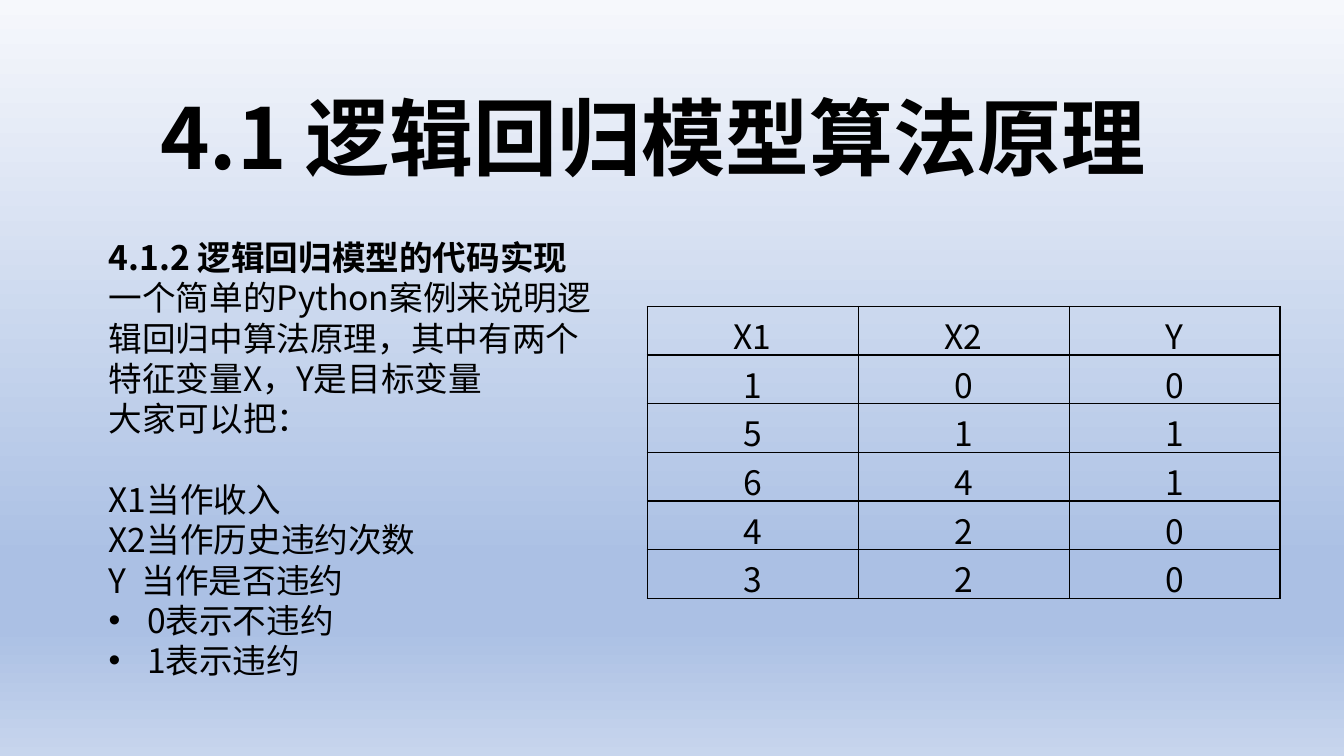
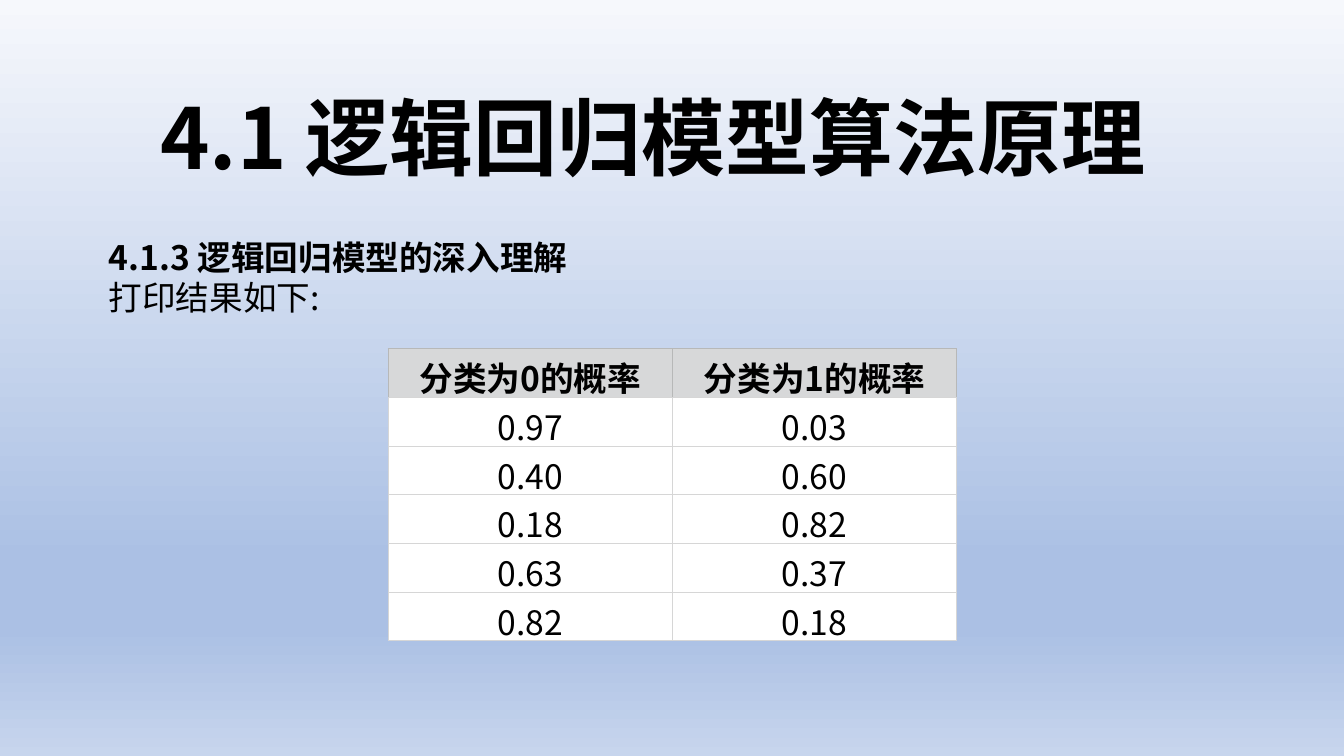
from dataclasses import dataclass
from itertools import product

from lxml.etree import SubElement as sub
from pptx import Presentation
from pptx.dml.color import RGBColor as RGB
from pptx.enum.text import MSO_ANCHOR as ANCHOR, MSO_AUTO_SIZE as FIT, PP_ALIGN as ALIGN
from pptx.oxml.ns import qn
from pptx.util import Emu, Inches, Pt


@dataclass(frozen=True)
class Theme:
    font: str = "Noto Sans CJK SC"
    title: int = 60
    body: int = 24
    line: float = 28.8
    ink: str = "000000"
    white: str = "FFFFFF"
    head: str = "D7D8D9"
    head_rule: str = "B7B8B8"
    rule: str = "D6D6D6"
    sky: tuple = ((0, "F6F8FC"), (74, "ABC0E4"), (83, "ABC0E4"), (100, "C7D5ED"))


T = Theme()


def style(p, size, bold=False):
    for r in p.runs:
        r.font.name = T.font
        r.font.size = Pt(size)
        r.font.bold = bold
        r.font.color.rgb = RGB.from_string(T.ink)
        sub(r.font._element, qn("a:ea"), typeface=T.font)


def border(cell, sides, color, width):
    tc_pr = cell._tc.get_or_add_tcPr()
    for side in sides:
        ln = sub(tc_pr, qn(f"a:ln{side}"), w=str(Pt(width)))
        sub(sub(ln, qn("a:solidFill")), qn("a:srgbClr"), val=color)


prs = Presentation()
prs.slide_width, prs.slide_height = Inches(13.33), Inches(7.5)
COL, ROW = prs.slide_width / 100, prs.slide_height / 100

master = prs.slide_master
fill = master.background.fill
fill.gradient()
fill.gradient_angle = 270
stops = master.element.find(".//" + qn("a:gsLst"))
for stop in list(stops):
    stops.remove(stop)
for pos, color in T.sky:
    sub(sub(stops, qn("a:gs"), pos=str(pos * 1000)), qn("a:srgbClr"), val=color)

TITLE = "4.1 逻辑回归模型算法原理"
TITLE_BOX = (11.18, 10.67, 77.63, 14.8)
ROW_HEIGHT = 6.44
slides = [
    dict(
        box=(7.35, 30.67, 38.63, 60.53),
        heading="4.1.2 逻辑回归模型的代码实现",
        lines=["一个简单的Python案例来说明逻辑回归中算法原理，其中有两个特征变量X，Y是目标变量",
               "大家可以把："],
        roles=["X1当作收入", "X2当作历史违约次数", "Y  当作是否违约"],
        bullets=["0表示不违约", "1表示违约"],
        at=(48.15, 40.53, 47.1),
        rows=[("X1", "X2", "Y"), (1, 0, 0), (5, 1, 1), (6, 4, 1), (4, 2, 0), (3, 2, 0)],
        shaded=False,
    ),
    dict(
        box=(7.35, 30.67, 85.35, 12.13),
        heading="4.1.3 逻辑回归模型的深入理解",
        lines=["打印结果如下:"],
        roles=[],
        bullets=[],
        at=(28.88, 46.13, 42.3),
        rows=[("分类为0的概率", "分类为1的概率"), ("0.97", "0.03"), ("0.40", "0.60"),
              ("0.18", "0.82"), ("0.63", "0.37"), ("0.82", "0.18")],
        shaded=True,
    ),
]

for page in slides:
    s = prs.slides.add_slide(prs.slide_layouts[6])
    body = [page["heading"], *page["lines"], *page["roles"], *page["bullets"]]

    for (x, y, w, h), lines, size, wrap in (
        (TITLE_BOX, [TITLE], T.title, False),
        (page["box"], body, T.body, True),
    ):
        sp = s.shapes.add_textbox(Emu(int(x * COL)), Emu(int(y * ROW)),
                                  Emu(int(w * COL)), Emu(int(h * ROW)))
        tf = sp.text_frame
        tf.word_wrap = wrap
        tf.auto_size = FIT.SHAPE_TO_FIT_TEXT
        tf.text = "\n".join(lines)
        for i, p in enumerate(tf.paragraphs):
            style(p, size, bold=i == 0)
            if p.text in page["roles"][:1]:
                p.space_before = Pt(T.line)
            if p.text in page["bullets"]:
                p_pr = p._p.get_or_add_pPr()
                p_pr.set("marL", str(Inches(0.38)))
                p_pr.set("indent", str(-Inches(0.38)))
                sub(p_pr, qn("a:buFont"), typeface="Arial")
                sub(p_pr, qn("a:buChar"), char="•")

    rows = page["rows"]
    x, y, w = page["at"]
    n, m = len(rows), len(rows[0])
    table = s.shapes.add_table(n, m, Emu(int(x * COL)), Emu(int(y * ROW)), Emu(int(w * COL)),
                               Emu(int(n * ROW_HEIGHT * ROW))).table
    for i, j in product(range(n), range(m)):
        cell = table.cell(i, j)
        head = page["shaded"] and i == 0
        cell.text = str(rows[i][j])
        cell.vertical_anchor = ANCHOR.MIDDLE
        cell.margin_left = cell.margin_right = 0
        cell.margin_top = cell.margin_bottom = Inches(0.04)
        p = cell.text_frame.paragraphs[0]
        p.alignment = ALIGN.CENTER
        style(p, T.body, bold=head)
        if not page["shaded"]:
            border(cell, "LRTB", T.ink, 1)
            cell.fill.background()
        else:
            border(cell, "LRT" if head else "LRTB", T.head_rule if head else T.rule, 0.75)
            if head:
                border(cell, "B", T.rule, 0.75)
            cell.fill.solid()
            cell.fill.fore_color.rgb = RGB.from_string(T.head if head else T.white)

prs.save("out.pptx")
